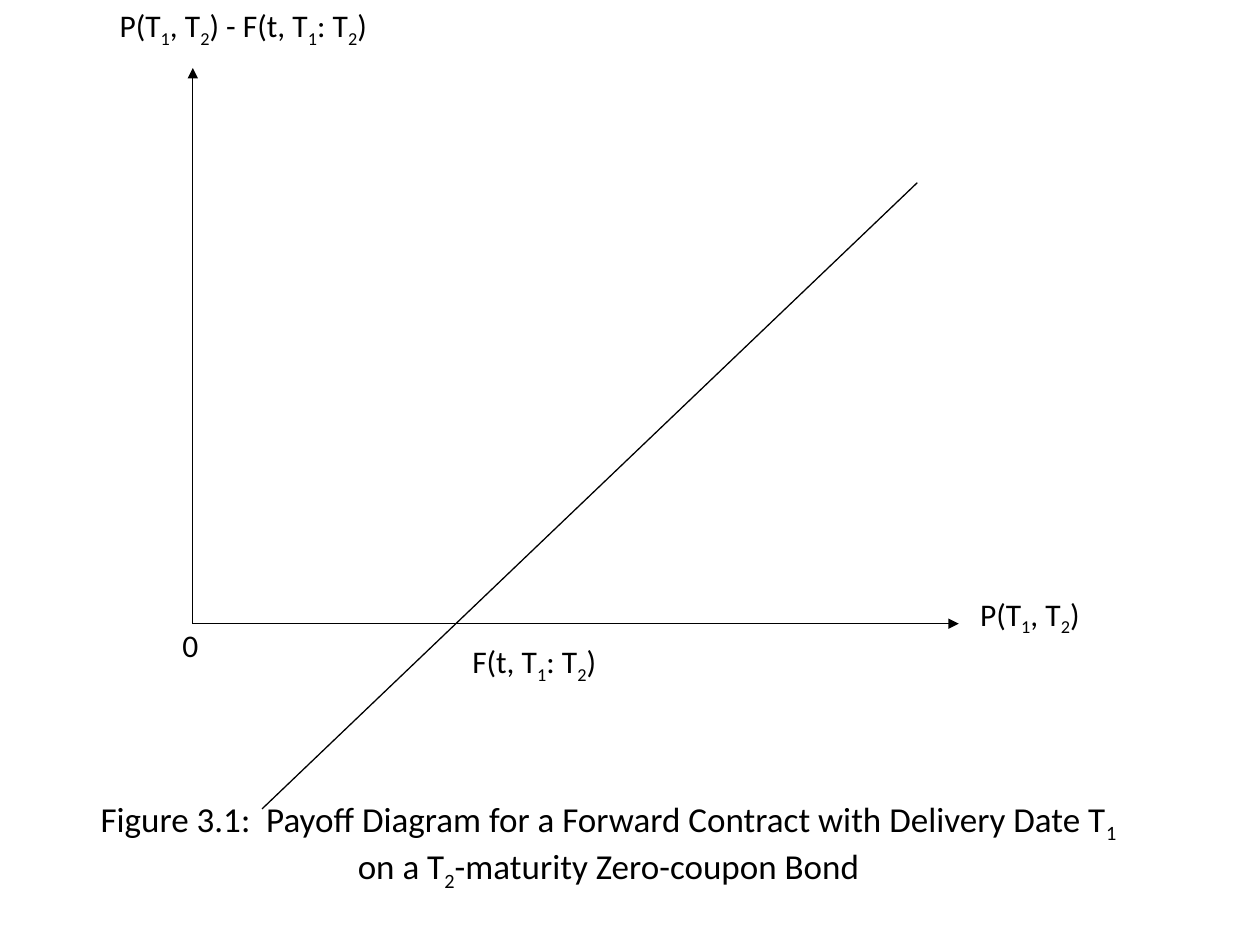
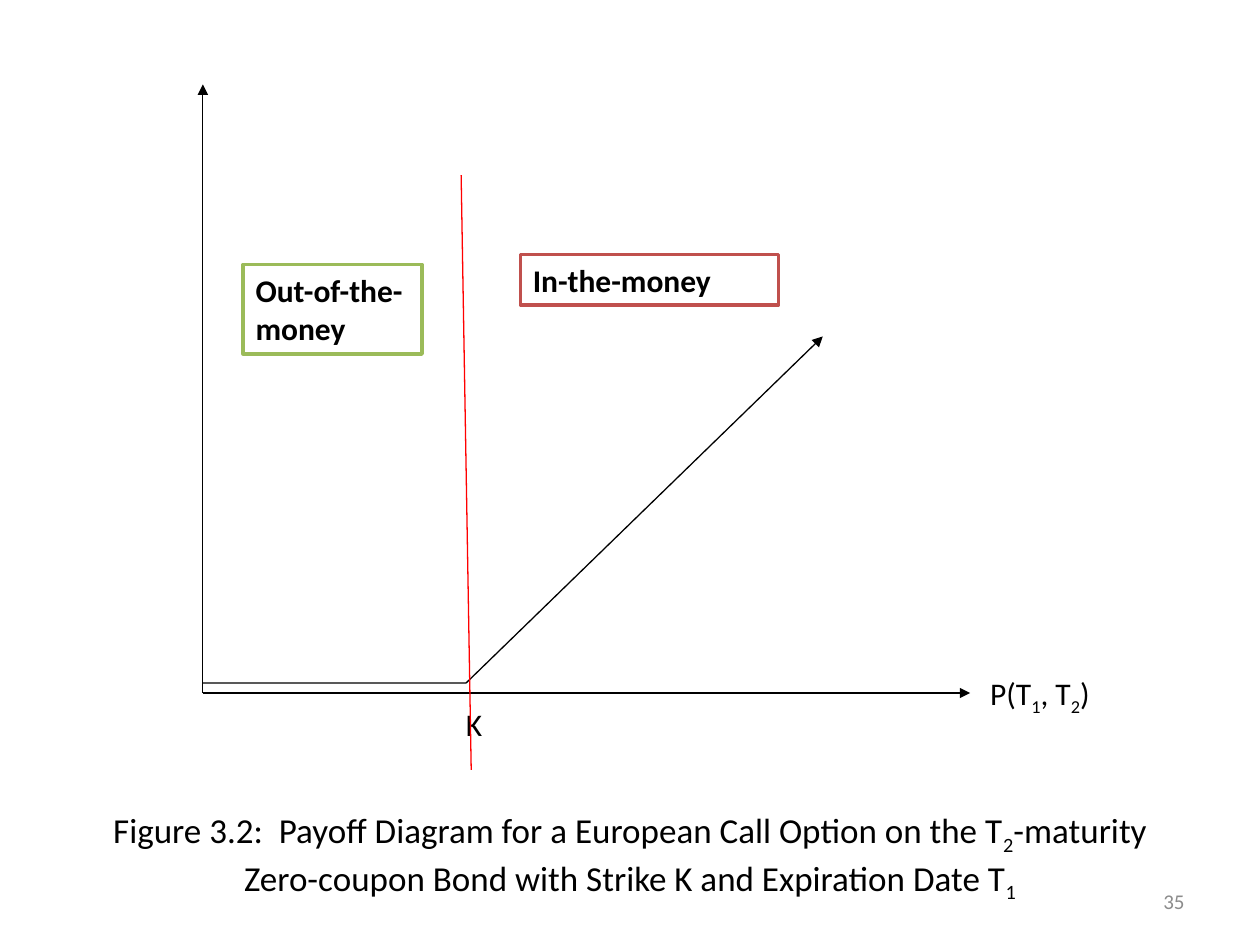
from pptx import Presentation
from pptx.dml.color import RGBColor
from pptx.enum.shapes import MSO_CONNECTOR as Connector, MSO_SHAPE as Shape
from pptx.enum.text import MSO_ANCHOR as Anchor, MSO_AUTO_SIZE as AutoSize, PP_ALIGN as Align
from pptx.oxml.ns import qn
from pptx.util import Emu, Pt
from lxml.etree import SubElement

# Shared look; lengths are px, 100 to the inch
PX = 9144
SLIDE_SIZE = (1000, 750)
BLACK, WHITE, RED, GREY = "000000", "FFFFFF", "FF0000", "8C8C8C"
BRICK, GREEN = "C0504D", "9BBB59"
LINE_WIDTH, FRAME_WIDTH = 0.75, 2
CAPTION_SIZE = (850, 125)
LABEL_HEIGHT = 50
PAGE_BOX = (717, 695, 233, 40)

LABEL = {"size": 18}
CAPTION = {"size": 20, "align": Align.CENTER, "anchor": Anchor.MIDDLE}
PAGE_NUMBER = {"size": 12, "color": GREY, "align": Align.RIGHT, "anchor": Anchor.MIDDLE}
ZONE = {"size": 18, "bold": True}

# Content; "_" lowers the one character after it
BOND_PRICE = "P(T_1, T_2)"
FORWARD_PRICE = "F(t, T_1: T_2)"

FIGURES = [
    {
        "caption": ("Figure 3.1:  Payoff Diagram for a Forward Contract with Delivery "
                    "Date T_1 on a T_2-maturity Zero-coupon Bond", 58, 608),
        "origin": (153, 495), "x_end": 761, "y_end": 54,
        "lines": [((728, 145), (208, 642), BLACK)],
        "labels": [  # text, left, top, width
            (BOND_PRICE, 768, 467, 140),
            (f"{BOND_PRICE} - {FORWARD_PRICE}", 85, 0, 315),
            ("0", 135, 492, 37),
            (FORWARD_PRICE, 365, 505, 167),
        ],
    },
    {
        "caption": ("Figure 3.2:  Payoff Diagram for a European Call Option on the "
                    "T_2-maturity Zero-coupon Bond with Strike K and Expiration "
                    "Date T_1", 75, 617),
        "page": "35",
        "origin": (161, 550), "x_end": 770, "y_end": 67,
        "payoff": [(161, 542), (370, 542), (653, 267)],
        "lines": [((366, 139), (374, 611), RED)],
        "labels": [("K", 360, 555, 44), (BOND_PRICE, 776, 530, 140)],
        "zones": [  # text, box, frame colour
            ("In-the-money", (413, 202, 205, 40), BRICK),
            ("Out-of-the- money", (193, 210, 142, 71), GREEN),
        ],
    },
]


def px(*lengths):
    return [Emu(length * PX) for length in lengths]


def rgb(value):
    return RGBColor.from_string(value)


def write(shape, text, style, wrap=True, grow=False):
    """Fill a shape with one paragraph, lowering the marked characters."""
    frame = shape.text_frame
    frame.word_wrap = wrap
    frame.auto_size = AutoSize.SHAPE_TO_FIT_TEXT if grow else AutoSize.NONE
    frame.vertical_anchor = style.get("anchor", Anchor.TOP)
    paragraph = frame.paragraphs[0]
    paragraph.alignment = style.get("align", Align.LEFT)
    first, *rest = text.split("_")
    pieces = [(first, False)]
    for part in rest:
        pieces += [(part[0], True), (part[1:], False)]
    font_values = {"name": "Calibri", "size": Pt(style["size"]), "bold": style.get("bold", False)}
    for piece, lowered in pieces:
        if not piece:
            continue
        run = paragraph.add_run()
        run.text = piece
        for attribute, value in font_values.items():
            setattr(run.font, attribute, value)
        run.font.color.rgb = rgb(style.get("color", BLACK))
        if lowered:
            run._r.get_or_add_rPr().set("baseline", "-25000")


def add_text(slide, text, box, style, **fit):
    write(slide.shapes.add_textbox(*px(*box)), text, style, **fit)


def set_line(shape, color, width=LINE_WIDTH, arrow=False):
    shape.line.color.rgb = rgb(color)
    shape.line.width = Pt(width)
    if arrow:
        SubElement(shape.line._get_or_add_ln(), qn("a:tailEnd"), type="triangle")


def add_line(slide, start, end, color=BLACK, arrow=False):
    connector = slide.shapes.add_connector(Connector.STRAIGHT, *px(*start, *end))
    set_line(connector, color, arrow=arrow)
    SubElement(connector._element.spPr, qn("a:effectLst"))


def add_payoff(slide, points):
    builder = slide.shapes.build_freeform(*points[0], scale=PX)
    builder.add_line_segments(points[1:], close=False)
    shape = builder.convert_to_shape()
    shape.fill.background()
    set_line(shape, BLACK, arrow=True)
    shape.shadow.inherit = False


def add_zone(slide, text, box, color):
    shape = slide.shapes.add_shape(Shape.RECTANGLE, *px(*box))
    shape.fill.solid()
    shape.fill.fore_color.rgb = rgb(WHITE)
    set_line(shape, color, FRAME_WIDTH)
    shape.shadow.inherit = False
    write(shape, text, ZONE, grow=True)


def draw_figure(slide, figure):
    # Page number and caption
    if "page" in figure:
        add_text(slide, figure["page"], PAGE_BOX, PAGE_NUMBER)
    caption, left, top = figure["caption"]
    add_text(slide, caption, (left, top, *CAPTION_SIZE), CAPTION)

    # Axes
    x, y = figure["origin"]
    for end in ((x, figure["y_end"]), (figure["x_end"], y)):
        add_line(slide, (x, y), end, arrow=True)

    # Payoff, labels, straight lines and zones
    if "payoff" in figure:
        add_payoff(slide, figure["payoff"])
    for text, left, top, width in figure["labels"]:
        add_text(slide, text, (left, top, width, LABEL_HEIGHT), LABEL, wrap=False, grow=True)
    for line in figure["lines"]:
        add_line(slide, *line)
    for zone in figure.get("zones", []):
        add_zone(slide, *zone)


def main():
    presentation = Presentation()
    presentation.slide_width, presentation.slide_height = px(*SLIDE_SIZE)
    blank = presentation.slide_layouts[6]
    for figure in FIGURES:
        draw_figure(presentation.slides.add_slide(blank), figure)
    presentation.save("out.pptx")


if __name__ == "__main__":
    main()
